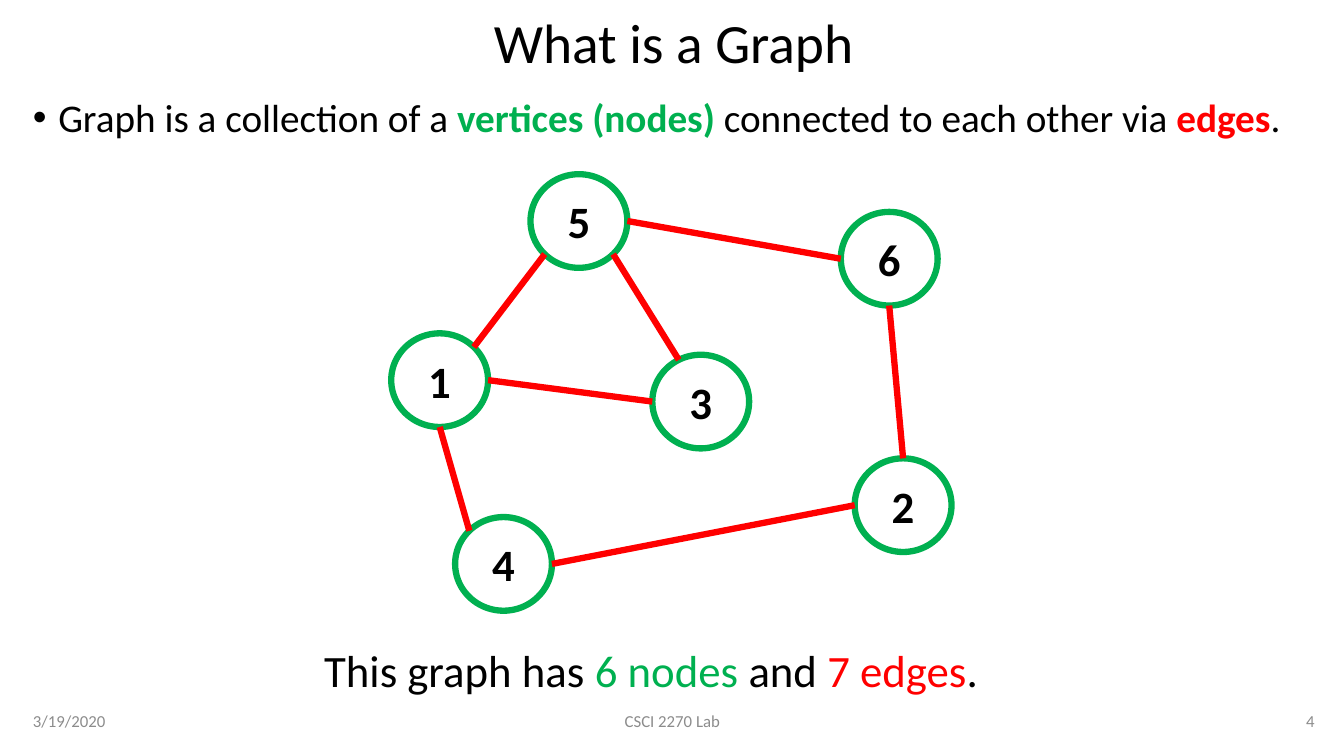
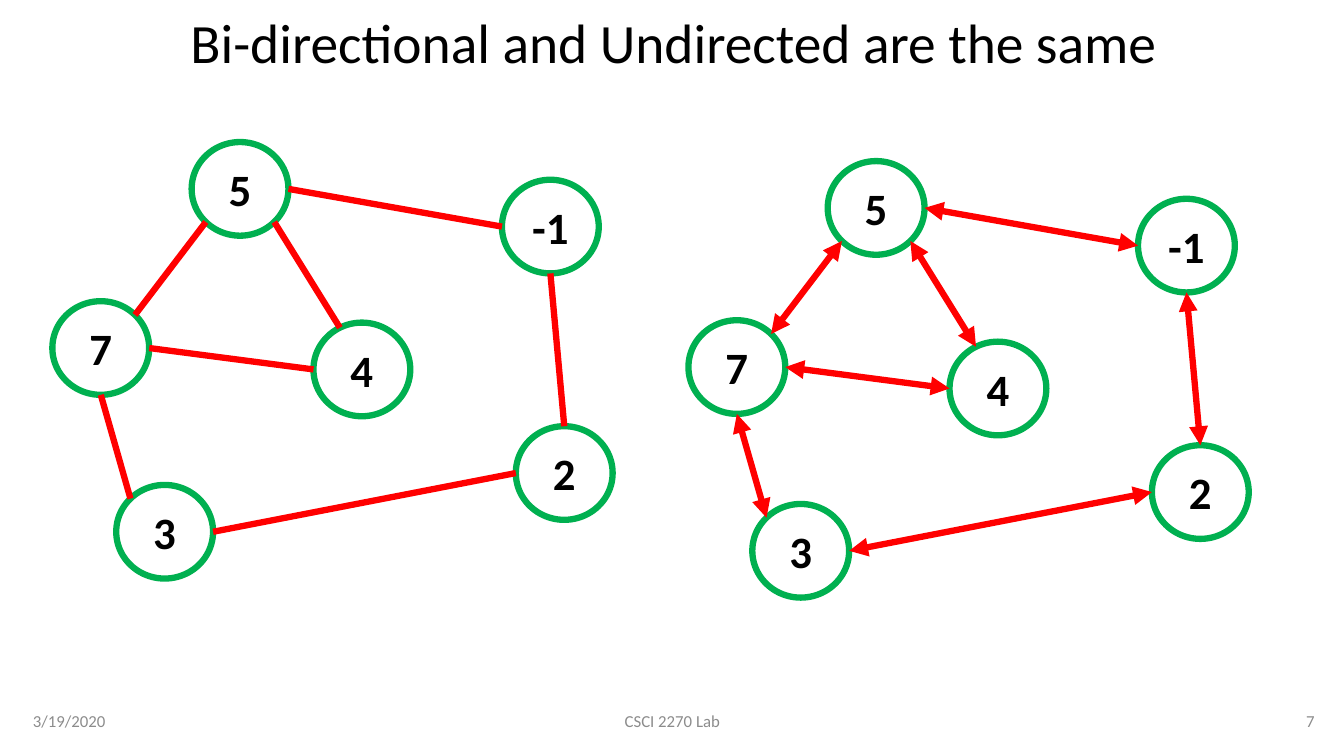
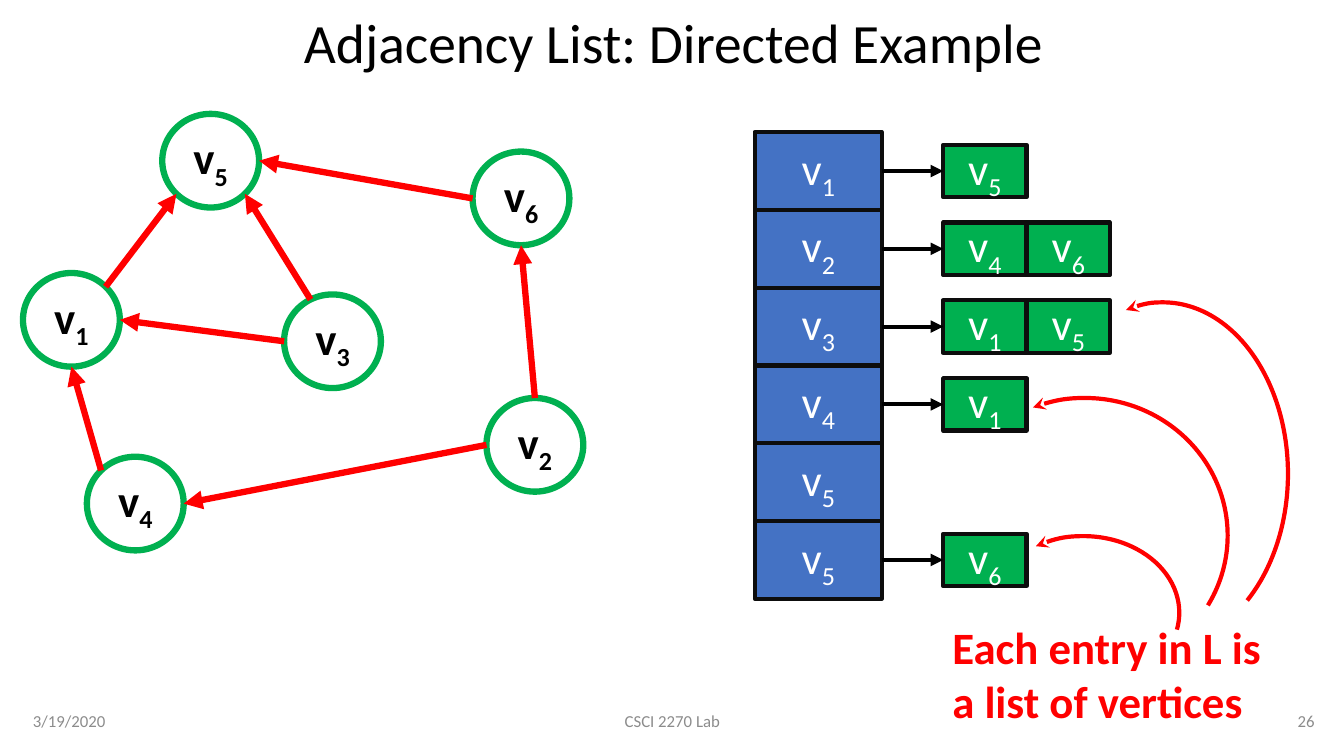
from math import cos, radians, sin

from lxml.etree import SubElement
from pptx import Presentation
from pptx.dml.color import RGBColor
from pptx.enum.shapes import MSO_CONNECTOR, MSO_SHAPE
from pptx.enum.text import MSO_ANCHOR, MSO_AUTO_SIZE, PP_ALIGN
from pptx.oxml.ns import qn
from pptx.util import Cm, Pt

FONT = "Calibri"
BLACK, WHITE, GRAY, INK = "000000", "FFFFFF", "8C8C8C", "0D0D0D"
GREEN, RED, BLUE = "00B050", "FF0000", "4472C4"

TITLE_ONLY = 5
MARGIN, CONTENT_W = 0.58, 32.79

NODE_W, NODE_H = 2.44, 2.36
# Top-left corner of each node within the graph box
NODE_SPOTS = {
    "top": (3.51, 0), "left": (0, 4.01), "bottom": (1.61, 8.64),
    "middle": (6.58, 4.55), "lower right": (11.68, 7.16), "upper right": (11.33, 0.95),
}
# Node and clockwise angle where each edge begins, then where it ends
EDGES = [
    ("top", 45, "middle", 243),
    ("top", 0, "upper right", 180),
    ("upper right", 90, "lower right", 270),
    ("left", 0, "middle", 180),
    ("bottom", 0, "lower right", 180),
    ("top", 135, "left", 315),
    ("left", 90, "bottom", 225),
]

ROW_W, ROW_H = 3.2, 1.96
CELL_W, CELL_H, CELL_OFFSET = 2.1, 1.32, 4.75


def rgb(value):
    return RGBColor.from_string(value)


def cm(*lengths):
    return [Cm(length) for length in lengths]


def add_run(paragraph, text, size, color=BLACK, bold=False, subscript=False):
    run = paragraph.add_run()
    run.text = text
    font = run.font
    font.name, font.size, font.bold = FONT, Pt(size), bold
    font.color.rgb = rgb(color)
    if subscript:
        run._r.get_or_add_rPr().set("baseline", "-25000")


def add_text(slide, box, runs, size, align=PP_ALIGN.LEFT, anchor=MSO_ANCHOR.TOP, grow=False):
    """Add a text box; each run is a text, a colour and whether it is bold."""
    frame = slide.shapes.add_textbox(*cm(*box)).text_frame
    frame.word_wrap = True
    frame.vertical_anchor = anchor
    frame.auto_size = MSO_AUTO_SIZE.SHAPE_TO_FIT_TEXT if grow else MSO_AUTO_SIZE.NONE
    paragraph = frame.paragraphs[0]
    paragraph.alignment = align
    for text, color, bold in runs:
        add_run(paragraph, text, size, color, bold)
    return paragraph


def style_line(item, color, width, head=None, tail=None):
    item.line.color.rgb = rgb(color)
    item.line.width = Pt(width)
    for tag, kind in (("a:headEnd", head), ("a:tailEnd", tail)):
        if kind:
            SubElement(item.line._get_or_add_ln(), qn(tag), type=kind)


def add_line(slide, begin, end, color, width, head=None, tail=None):
    line = slide.shapes.add_connector(MSO_CONNECTOR.STRAIGHT, *cm(*begin, *end))
    style_line(line, color, width, head, tail)
    SubElement(line._element.spPr, qn("a:effectLst"))
    return line


def add_labeled_shape(slide, kind, box, label, line, text_color, fill=None, bold=False):
    """Add a shape whose label may be a letter with a subscript, such as v5."""
    shape = slide.shapes.add_shape(kind, *cm(*box))
    shape.shadow.inherit = False
    if fill:
        shape.fill.solid()
        shape.fill.fore_color.rgb = rgb(fill)
    else:
        shape.fill.background()
    style_line(shape, *line)
    frame = shape.text_frame
    frame.vertical_anchor = MSO_ANCHOR.MIDDLE
    paragraph = frame.paragraphs[0]
    paragraph.alignment = PP_ALIGN.CENTER
    if label.startswith("v"):
        add_run(paragraph, "v", 32, text_color, bold)
        add_run(paragraph, label[1:], 32, text_color, bold, subscript=True)
    else:
        add_run(paragraph, label, 32, text_color, bold)
    return shape


def new_slide(prs, title, number):
    """Add a slide with its title and footer."""
    slide = prs.slides.add_slide(prs.slide_layouts[TITLE_ONLY])
    heading = slide.shapes.title
    heading.left, heading.top, heading.width, heading.height = cm(MARGIN, 0.38, CONTENT_W, 1.52)
    frame = heading.text_frame
    frame.auto_size = MSO_AUTO_SIZE.NONE
    frame.vertical_anchor = MSO_ANCHOR.MIDDLE
    paragraph = frame.paragraphs[0]
    paragraph.alignment = PP_ALIGN.CENTER
    paragraph.line_spacing = 0.9
    add_run(paragraph, title, 39.6)

    footer = [
        ("3/19/2020", MARGIN, 7.62, PP_ALIGN.LEFT),
        ("CSCI 2270 Lab", 11.23, 11.43, PP_ALIGN.CENTER),
        (str(number), 25.76, 7.62, PP_ALIGN.RIGHT),
    ]
    for text, left, width, align in footer:
        add_text(slide, (left, 17.65, width, 1.02), [(text, GRAY, False)], 12,
                 align, MSO_ANCHOR.MIDDLE)
    return slide


def add_graph(slide, left, top, labels, head=None, tail=None):
    """Draw the graph; labels follow the order of NODE_SPOTS."""
    for (x, y), label in zip(NODE_SPOTS.values(), labels):
        add_labeled_shape(slide, MSO_SHAPE.OVAL, (left + x, top + y, NODE_W, NODE_H),
                          label, (GREEN, 4.5), BLACK, bold=True)

    def rim(node, angle):
        x, y = NODE_SPOTS[node]
        return (left + x + NODE_W / 2 * (1 + cos(radians(angle))),
                top + y + NODE_H / 2 * (1 + sin(radians(angle))))

    for begin, begin_angle, end, end_angle in EDGES:
        add_line(slide, rim(begin, begin_angle), rim(end, end_angle), RED, 4.5, head, tail)


def add_adjacency_list(slide, left, top, rows):
    for index, (vertex, neighbors) in enumerate(rows):
        row_top = top + index * ROW_H
        row = add_labeled_shape(slide, MSO_SHAPE.RECTANGLE, (left, row_top, ROW_W, ROW_H),
                                vertex, (INK, 3), WHITE, BLUE)
        cells = [
            add_labeled_shape(
                slide, MSO_SHAPE.RECTANGLE,
                (left + CELL_OFFSET + column * CELL_W, row_top + (ROW_H - CELL_H) / 2,
                 CELL_W, CELL_H),
                neighbor, (INK, 3), WHITE, GREEN)
            for column, neighbor in enumerate(neighbors)
        ]
        if cells:
            middle = row_top + ROW_H / 2
            arrow = add_line(slide, (left + ROW_W, middle), (left + CELL_OFFSET, middle),
                             BLACK, 3, tail="triangle")
            arrow.begin_connect(row, 3)
            arrow.end_connect(cells[0], 1)


def add_callout(slide, left, top):
    """Add the remark on list entries and its curved arrows."""
    add_text(slide, (left, top, 8.69, 3), [("Each entry in L is a list of vertices", RED, True)],
             32, grow=True)
    curves = [
        (1.14, -1.98, 4.83, 3.86, 140.63, 6.15),
        (0, -5.46, 7.19, 6.93, 148.73, 17.77),
        (2.41, -7.87, 6.3, 8.64, 154.36, 33.83),
    ]
    for x, y, width, height, start, end in curves:
        curve = slide.shapes.add_shape(MSO_SHAPE.ARC, *cm(left + x, top + y, width, height))
        curve.adjustments[0], curve.adjustments[1] = start, end
        curve.shadow.inherit = False
        curve.fill.background()
        style_line(curve, RED, 3, head="stealth")


def add_definition(slide, left, top):
    definition = [
        ("Graph is a collection of a ", BLACK, False),
        ("vertices (nodes)", GREEN, True),
        (" connected to each other via ", BLACK, False),
        ("edges", RED, True),
        (".", BLACK, False),
    ]
    paragraph = add_text(slide, (left, top, CONTENT_W, 1.5), definition, 28)
    paragraph.line_spacing = 0.9
    paragraph.space_before = Pt(10)
    properties = paragraph._p.get_or_add_pPr()
    properties.set("marL", str(Cm(0.64)))
    properties.set("indent", str(Cm(-0.64)))
    SubElement(properties, qn("a:buFont"), typeface="Arial")
    SubElement(properties, qn("a:buChar"), char="•")


def build_graph_definition(prs):
    slide = new_slide(prs, "What is a Graph", 4)
    add_definition(slide, MARGIN, 2.36)
    add_graph(slide, 9.86, 4.39, ["5", "1", "4", "3", "2", "6"])
    summary = [
        ("This graph has ", BLACK, False),
        ("6 nodes ", GREEN, False),
        ("and ", BLACK, False),
        ("7 edges", RED, False),
        (".", BLACK, False),
    ]
    add_text(slide, (7.92, 16.08, 18.42, 1.62), summary, 32, grow=True)


def build_undirected_comparison(prs):
    slide = new_slide(prs, "Bi-directional and Undirected are the same", 7)
    labels = ["5", "7", "3", "4", "2", "-1"]
    add_graph(slide, 17.35, 4.06, labels, head="triangle", tail="triangle")
    add_graph(slide, 1.32, 3.58, labels)


def build_adjacency_example(prs):
    slide = new_slide(prs, "Adjacency List: Directed Example", 26)
    add_graph(slide, MARGIN, 2.87, ["v5", "v1", "v4", "v3", "v2", "v6"], head="triangle")
    add_adjacency_list(slide, 19.02, 3.33, [
        ("v1", ["v5"]),
        ("v2", ["v4", "v6"]),
        ("v3", ["v1", "v5"]),
        ("v4", ["v1"]),
        ("v5", []),
        ("v5", ["v6"]),
    ])
    add_callout(slide, 23.75, 15.49)


def main():
    prs = Presentation()
    prs.slide_width, prs.slide_height = cm(33.87, 19.05)
    build_graph_definition(prs)
    build_undirected_comparison(prs)
    build_adjacency_example(prs)
    prs.save("out.pptx")


if __name__ == "__main__":
    main()
